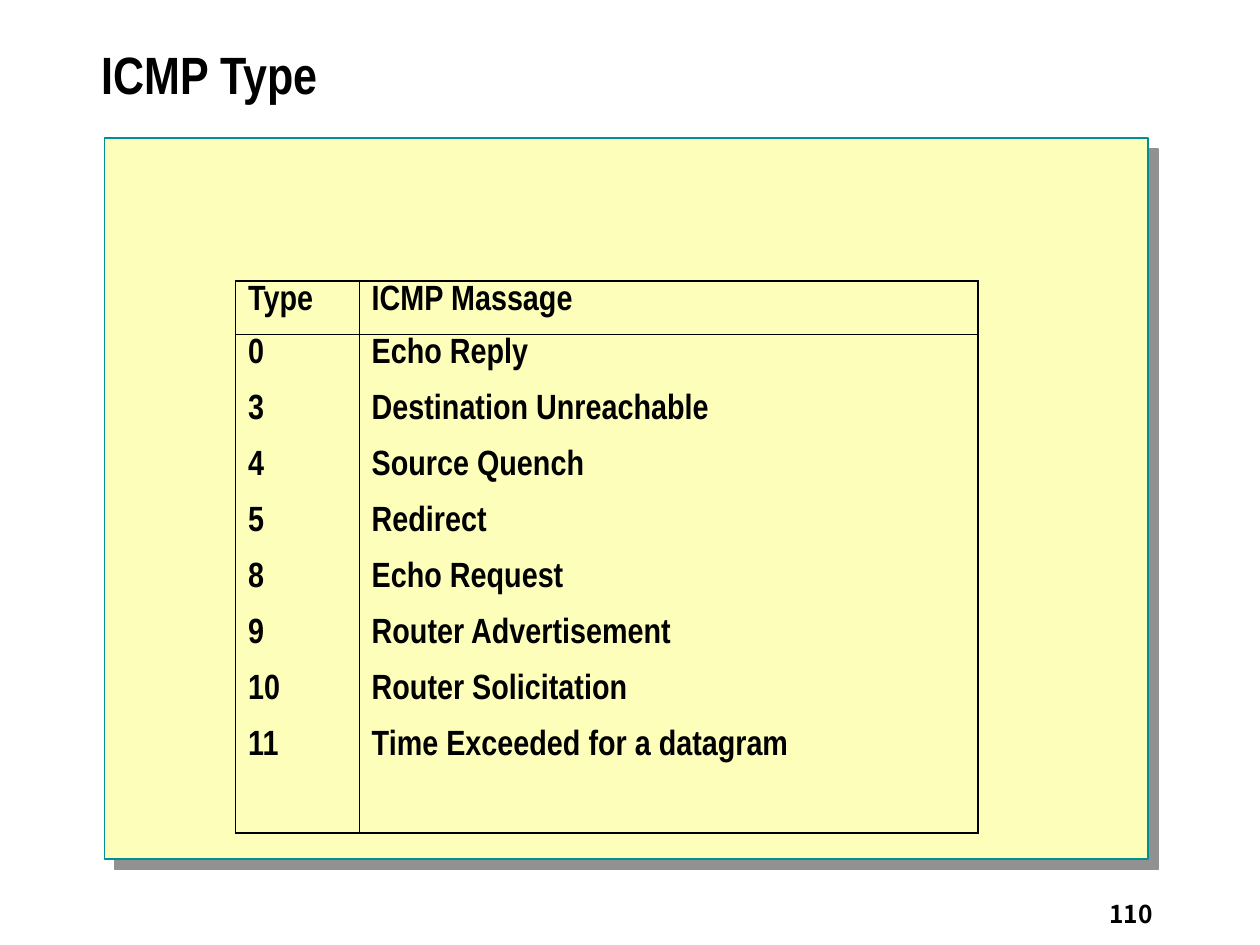
"""Build the ICMP Type slide: a shadowed panel with a table of message types."""
from lxml.etree import SubElement
from pptx import Presentation
from pptx.dml.color import RGBColor
from pptx.enum.shapes import MSO_SHAPE
from pptx.enum.text import MSO_ANCHOR, PP_ALIGN
from pptx.oxml.ns import qn
from pptx.util import Cm, Pt

TITLE = "ICMP Type"
PAGE = "110"
HEADER = ("Type", "ICMP Massage")
MESSAGES = [
    ("0", "Echo Reply"),
    ("3", "Destination Unreachable"),
    ("4", "Source Quench"),
    ("5", "Redirect"),
    ("8", "Echo Request"),
    ("9", "Router Advertisement"),
    ("10", "Router Solicitation"),
    ("11", "Time Exceeded for a datagram"),
]
COLUMNS = (2.49, 12.47)
ROWS = (1.07, 10.06)
BLACK, PANEL, TEAL, GREY = "000000", "FCFEB9", "009094", "919191"
NARROW, SANS = "Arial Narrow", "Noto Sans CJK KR"
OUTER, INNER = 1.08, 0.45


def rgb(value):
    return RGBColor.from_string(value)


def cm(*lengths):
    return [Cm(length) for length in lengths]


def style(p, size, name):
    p.font.size, p.font.name, p.font.bold = Pt(size), name, True
    p.font.color.rgb = rgb(BLACK)


def add_color(parent, value):
    fill = SubElement(parent, qn("a:solidFill"))
    SubElement(fill, qn("a:srgbClr"), val=value)


def add_panel(s):
    sp = s.shapes.add_shape(MSO_SHAPE.RECTANGLE, *cm(2.11, 2.79, 21.03, 14.53))
    sp.fill.solid()
    sp.fill.fore_color.rgb = rgb(PANEL)
    sp.line.color.rgb = rgb(TEAL)
    sp.line.width = Pt(1)
    sp.shadow.inherit = False
    effects = sp._element.spPr.find(qn("a:effectLst"))
    shadow = SubElement(effects, qn("a:outerShdw"), dist=str(Pt(8.5)),
                        dir="2700000", algn="ctr", rotWithShape="0")
    SubElement(shadow, qn("a:srgbClr"), val=GREY)


def add_text(s, box, text, size, name, anchor, align):
    tf = s.shapes.add_textbox(*cm(*box)).text_frame
    tf.word_wrap, tf.vertical_anchor = True, anchor
    tf.text = text
    p = tf.paragraphs[0]
    p.alignment = align
    style(p, size, name)
    return p


def set_borders(cell, row, col):
    widths = {
        "L": INNER if col else OUTER,
        "R": OUTER if col else INNER,
        "T": INNER if row else OUTER,
        "B": OUTER if row else INNER,
    }
    tc_pr = cell._tc.get_or_add_tcPr()
    for side, width in widths.items():
        line = SubElement(tc_pr, qn(f"a:ln{side}"), w=str(Pt(width)))
        add_color(line, BLACK)


def add_message_table(s):
    frame = s.shapes.add_table(len(ROWS), len(COLUMNS),
                               *cm(4.75, 5.66, sum(COLUMNS), sum(ROWS)))
    table = frame.table
    table.first_row = table.horz_banding = False
    for column, width in zip(table.columns, COLUMNS):
        column.width = Cm(width)
    for row, height in zip(table.rows, ROWS):
        row.height = Cm(height)
    body = ["\n".join(entries) for entries in zip(*MESSAGES)]
    for row, texts in enumerate((HEADER, body)):
        for col, text in enumerate(texts):
            cell = table.cell(row, col)
            set_borders(cell, row, col)
            cell.fill.background()
            cell.text_frame.text = text
            for i, p in enumerate(cell.text_frame.paragraphs):
                p.line_spacing = 0.9
                p.space_before = Pt(15 if i else 0)
                style(p, 20, NARROW)


def main():
    prs = Presentation()
    prs.slide_width, prs.slide_height = cm(25.4, 19.05)
    s = prs.slides.add_slide(prs.slide_layouts[6])
    add_panel(s)
    add_text(s, (18.21, 17.58, 5.28, 1.27), PAGE, 14, SANS,
             MSO_ANCHOR.BOTTOM, PP_ALIGN.RIGHT)
    title = add_text(s, (1.8, 0.43, 22.76, 2.34), TITLE, 30, NARROW,
                     MSO_ANCHOR.MIDDLE, PP_ALIGN.LEFT)
    title.line_spacing = 0.8
    add_message_table(s)
    prs.save("out.pptx")


if __name__ == "__main__":
    main()
